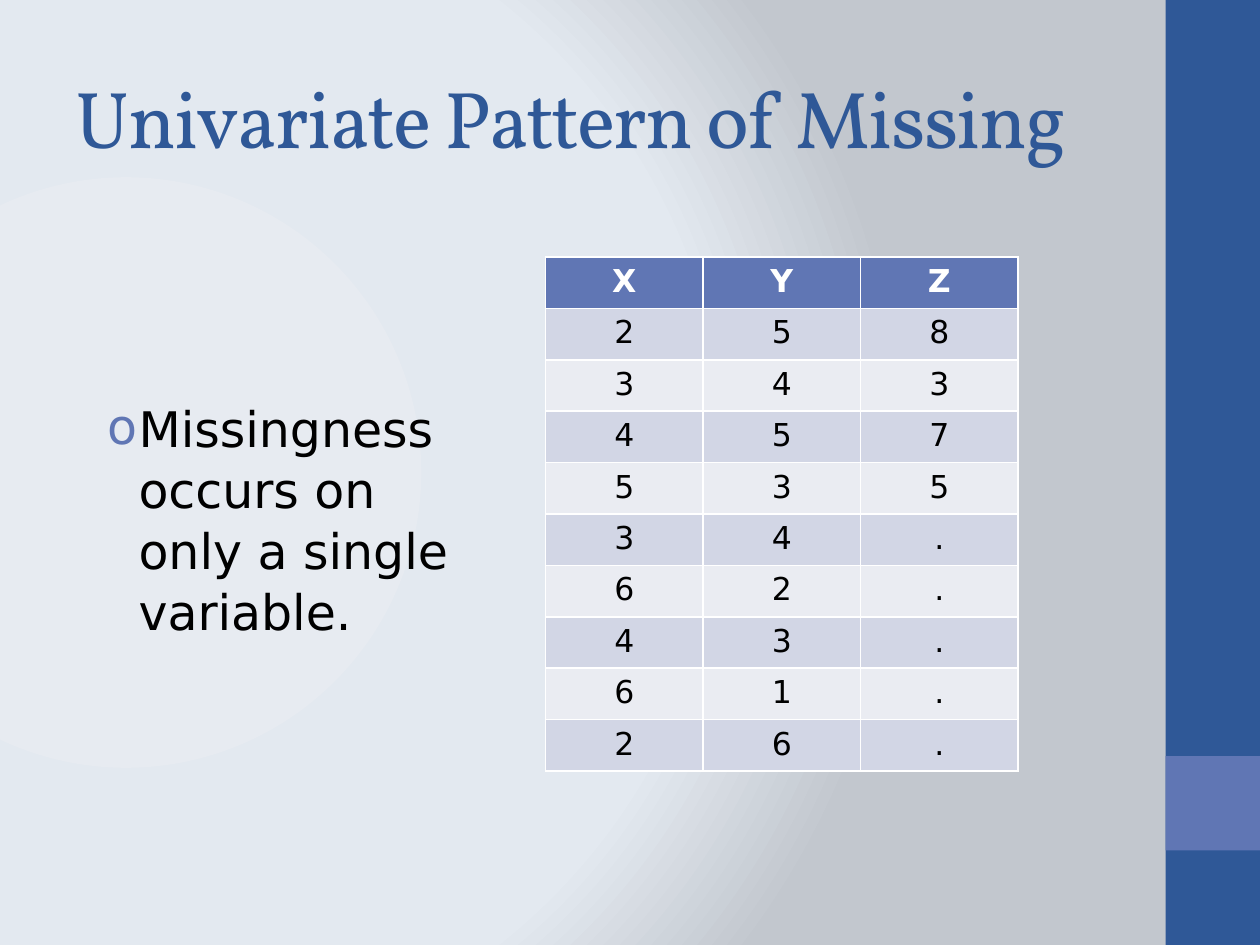
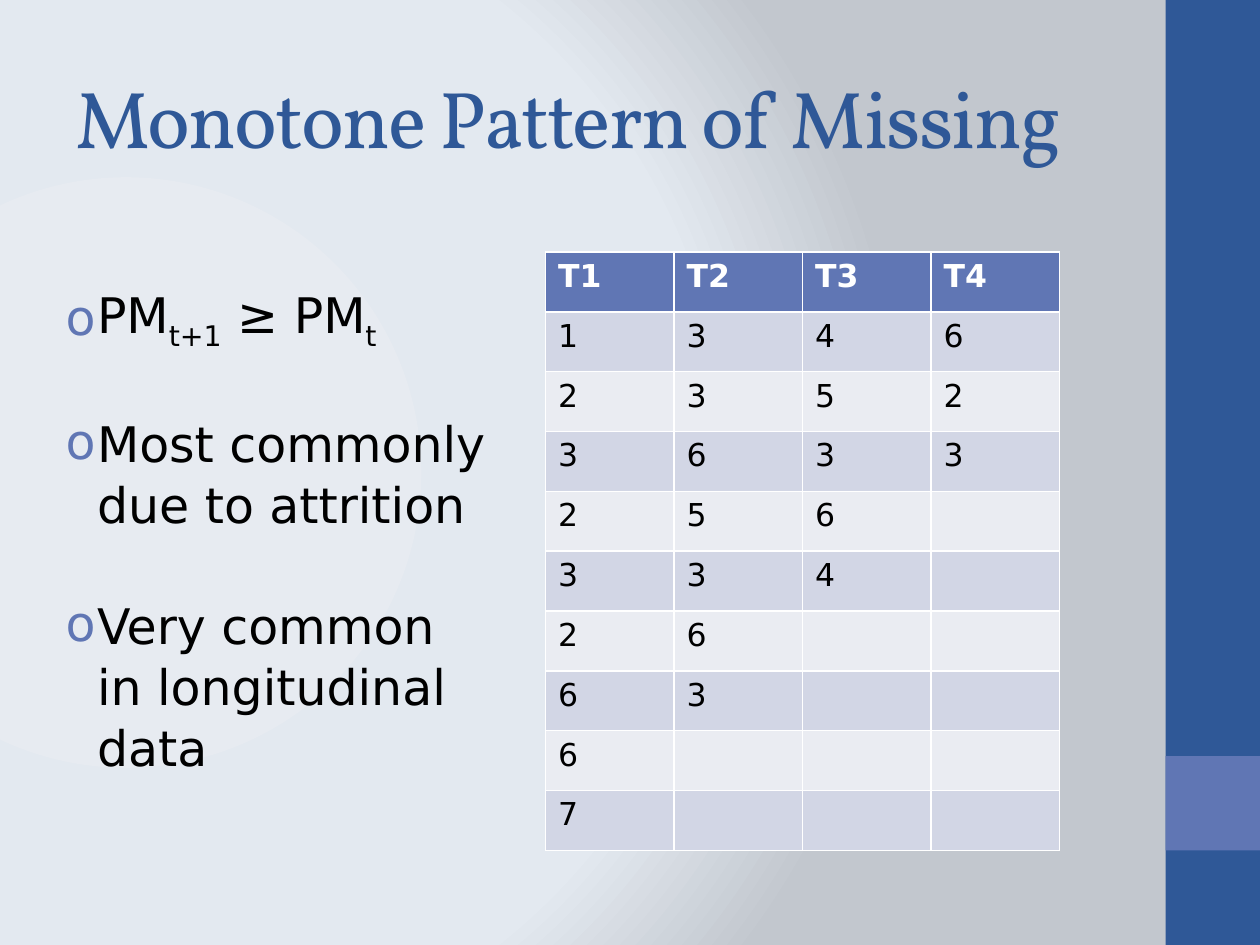
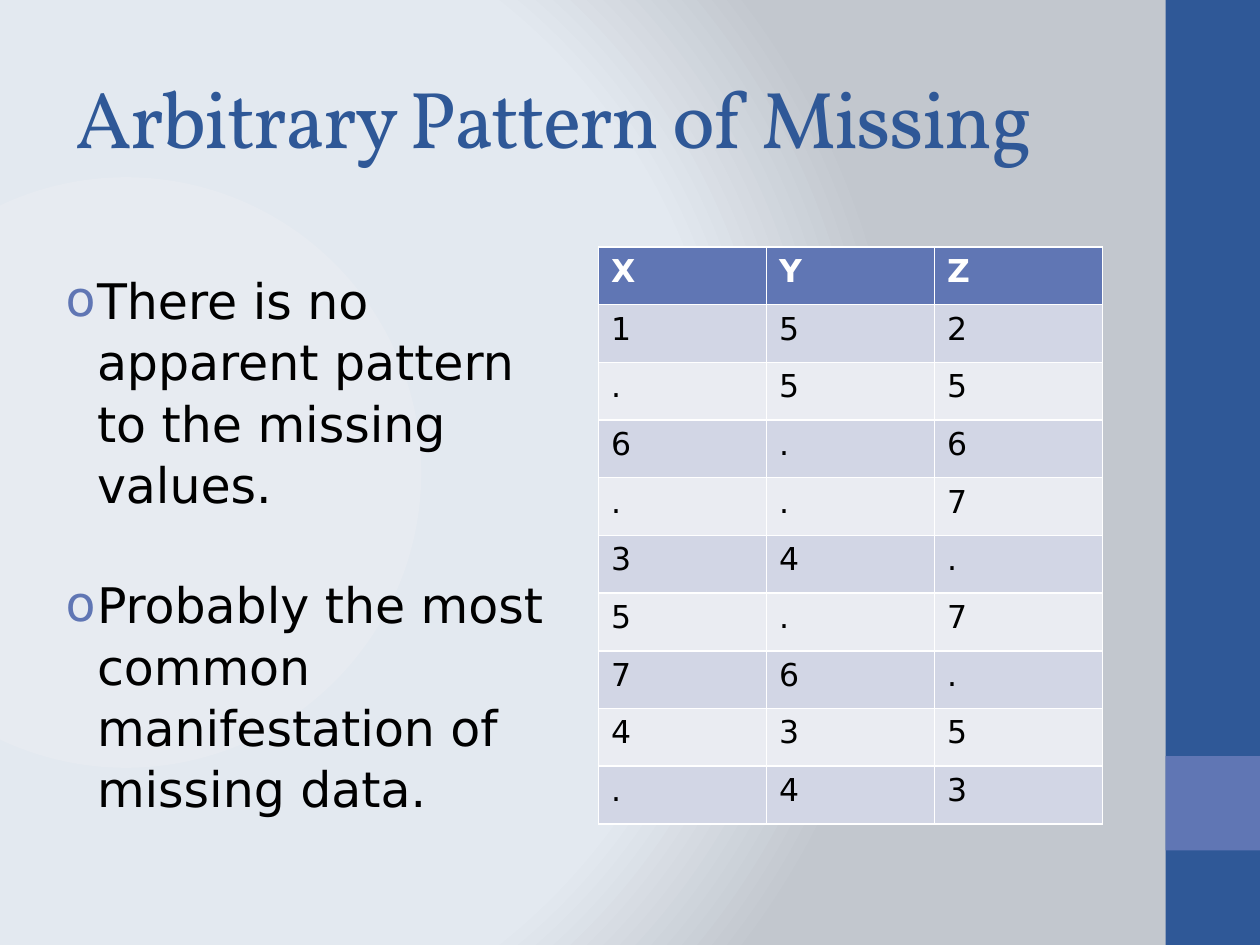
from pptx import Presentation
from pptx.dml.color import RGBColor
from pptx.enum import shapes, text
from pptx.oxml import parse_xml
from pptx.oxml.ns import nsdecls
from pptx.util import Inches, Pt

COLORS = {"navy": "2F5897", "blue": "6076B4", "white": "FFFFFF", "black": "000000",
          "odd": "D2D6E5", "even": "EAECF2"}
BACKDROP = [(0, "E7EBF1"), (75, "E3E9F0"), (100, "C2C7CE")]
BODY_FONT, TITLE_FONT = "DejaVu Sans", "Vollkorn"

# In a list, "\v" breaks a line and a (text, True) pair is a subscript run.
SLIDES = [
    {"title": "Univariate Pattern of Missing",
     "list_at": (0.75, 3.09, 3.5, 1.99),
     "list": [[("Missingness\voccurs on\vonly a single\vvariable.", False)]],
     "table_at": (4.33, 2.04, 3.75, 4.08), "align": text.PP_ALIGN.CENTER,
     "rows": ["X Y Z", "2 5 8", "3 4 3", "4 5 7", "5 3 5",
              "3 4 .", "6 2 .", "4 3 .", "6 1 .", "2 6 ."]},
    {"title": "Monotone Pattern of Missing",
     "list_at": (0.42, 2.19, 3.58, 3.87),
     "list": [[("PM", False), ("t+1", True), (" ≥ PM", False), ("t", True)],
              [("Most commonly\vdue to attrition", False)],
              [("Very common\vin longitudinal\vdata", False)]],
     "table_at": (4.33, 2, 4.08, 4.75), "align": text.PP_ALIGN.LEFT,
     "rows": ["T1 T2 T3 T4", "1 3 4 6", "2 3 5 2", "3 6 3 3", "2 5 6",
              "3 3 4", "2 6", "6 3", "6", "7"]},
    {"title": "Arbitrary Pattern of Missing",
     "list_at": (0.42, 2.08, 4.17, 4.34),
     "list": [[("There is no\vapparent pattern\vto the missing\vvalues.", False)],
              [("Probably the most\vcommon\vmanifestation of\vmissing data.", False)]],
     "table_at": (4.75, 1.96, 4, 4.58), "align": text.PP_ALIGN.LEFT,
     "rows": ["X Y Z", "1 5 2", ". 5 5", "6 . 6", ". . 7",
              "3 4 .", "5 . 7", "7 6 .", "4 3 5", ". 4 3"]},
]


def set_font(font, name, size, color, bold=False):
    font.name, font.size, font.bold = name, Pt(size), bold
    font.color.rgb = RGBColor.from_string(COLORS[color])


def place(sp, box):
    sp.left, sp.top, sp.width, sp.height = map(Inches, box)


prs = Presentation()
prs.slide_width, prs.slide_height = Inches(10), Inches(7.5)
master = prs.slide_master
layout = prs.slide_layouts.get_by_name("Title and Content")

# Backdrop shared through the master
master.background.fill.solid()
stops = "".join(f'<a:gs pos="{pos * 1000}"><a:srgbClr val="{color}"/></a:gs>'
                for pos, color in BACKDROP)
gradient = parse_xml(
    f'<a:gradFill {nsdecls("a")} rotWithShape="1"><a:gsLst>{stops}</a:gsLst>'
    '<a:path path="circle"><a:fillToRect l="20000" t="50000" r="100000" b="50000"/></a:path>'
    '</a:gradFill>')
bg_pr = master._element.cSld.bg.bgPr
bg_pr.replace(bg_pr[0], gradient)

for number, content in enumerate(SLIDES):
    s = prs.slides.add_slide(layout)

    if number == 0:  # side bands are drawn once, then moved to the master
        for position, (top, height, color) in enumerate([(0, 7.5, "navy"), (6, 0.75, "blue")]):
            band = s.shapes.add_shape(shapes.MSO_SHAPE.RECTANGLE, Inches(9.25), Inches(top),
                                      Inches(0.75), Inches(height))
            band.shadow.inherit = False
            band.fill.solid()
            band.fill.fore_color.rgb = RGBColor.from_string(COLORS[color])
            band.line.fill.background()
            master.shapes._spTree.insert(2 + position, band._element)

    title = s.shapes.title
    place(title, (0.5, 0.3, 8.33, 1.25))
    tf = title.text_frame
    tf.text = content["title"]
    tf.auto_size = text.MSO_AUTO_SIZE.NONE
    tf.vertical_anchor = text.MSO_ANCHOR.MIDDLE
    p = tf.paragraphs[0]
    p.alignment = text.PP_ALIGN.LEFT
    set_font(p.font, TITLE_FONT, 46, "navy")
    p.runs[0].font._element.set("spc", "-100")

    rows = [row.split() for row in content["rows"]]
    left, top, width, height = map(Inches, content["table_at"])
    table = s.shapes.add_table(len(rows), len(rows[0]), left, top, width, height).table
    for i, row in enumerate(rows):
        fill = "blue" if i == 0 else "odd" if i % 2 else "even"
        for j in range(len(rows[0])):
            cell = table.cell(i, j)
            cell.fill.solid()
            cell.fill.fore_color.rgb = RGBColor.from_string(COLORS[fill])
            cell.text = row[j] if j < len(row) else ""
            p = cell.text_frame.paragraphs[0]
            p.alignment = content["align"]
            set_font(p.font, BODY_FONT, 18, "black" if i else "white", bold=i == 0)

    body = s.placeholders[1]
    place(body, content["list_at"])
    tf = body.text_frame
    tf.word_wrap = True
    tf.auto_size = text.MSO_AUTO_SIZE.SHAPE_TO_FIT_TEXT
    for i, runs in enumerate(content["list"]):
        p = tf.add_paragraph() if i else tf.paragraphs[0]
        p.line_spacing = 1.04
        p.space_before = Pt(34 if i else 0)
        set_font(p.font, BODY_FONT, 28, "black")
        for words, subscript in runs:
            for k, line in enumerate(words.split("\v")):
                if k:
                    p.add_line_break()
                r = p.add_run()
                r.text = line
                if subscript:
                    r.font._element.set("baseline", "-25000")
        p_pr = p._p.get_or_add_pPr()
        p_pr.set("marL", str(Inches(0.25)))
        p_pr.set("indent", str(-Inches(0.25)))
        default_font = p_pr.find("{*}defRPr")
        for bullet in (f'<a:buClr {nsdecls("a")}><a:srgbClr val="{COLORS["blue"]}"/></a:buClr>',
                       f'<a:buFont {nsdecls("a")} typeface="{BODY_FONT}"/>',
                       f'<a:buChar {nsdecls("a")} char="o"/>'):
            default_font.addprevious(parse_xml(bullet))

prs.save("out.pptx")
